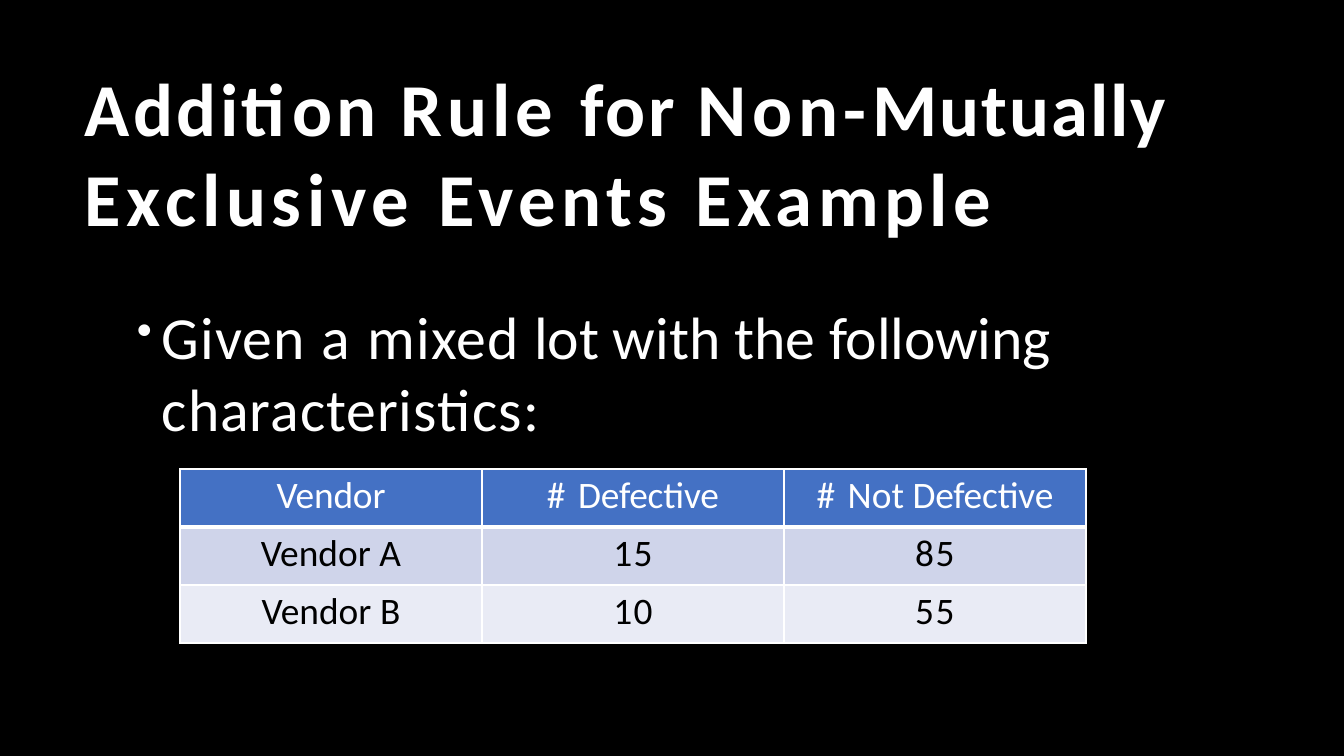
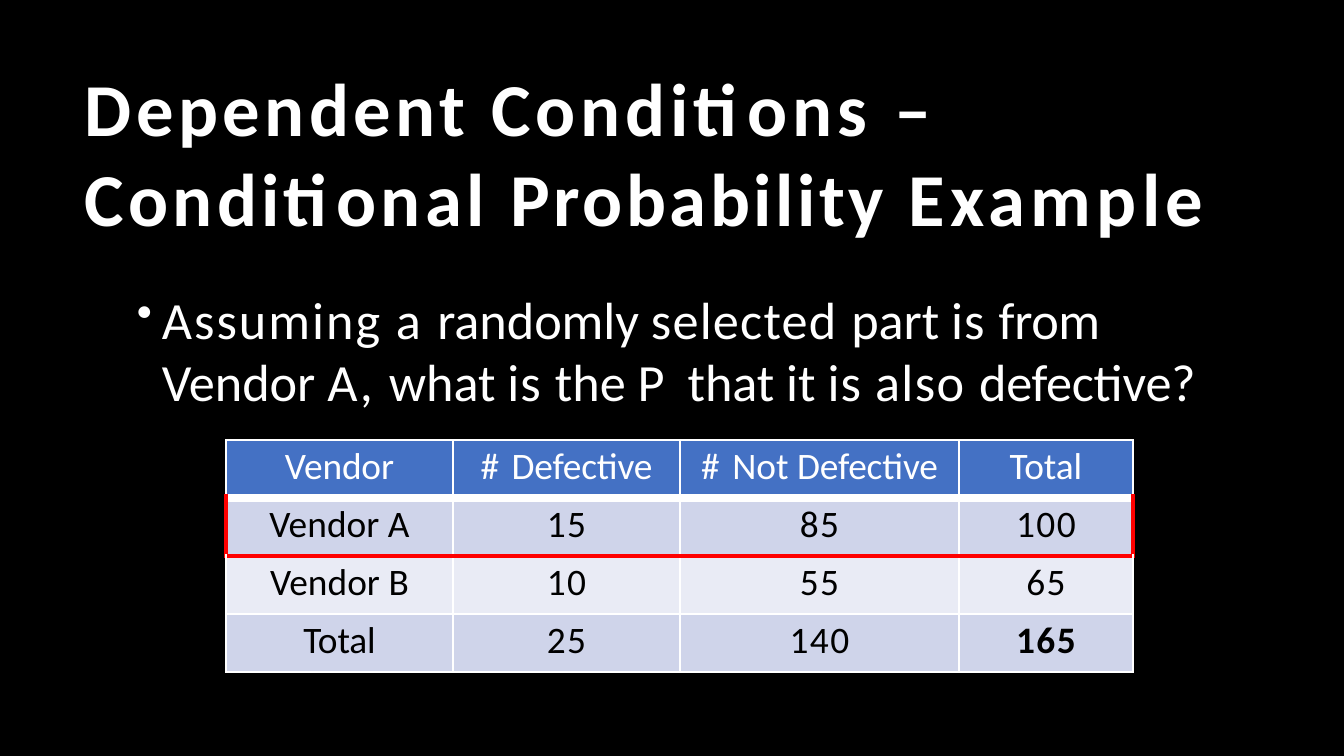
from lxml import etree
from pptx import Presentation
from pptx.dml.color import RGBColor
from pptx.enum.text import MSO_AUTO_SIZE, PP_ALIGN
from pptx.oxml.ns import qn
from pptx.util import Pt

EMU_PER_PX = 914400 / 134.4
SLIDE_WIDTH, SLIDE_HEIGHT = 1344, 756
LEFT, CENTER = PP_ALIGN.LEFT, PP_ALIGN.CENTER
FIT_SHAPE = MSO_AUTO_SIZE.SHAPE_TO_FIT_TEXT

FONT = "Calibri"
BLACK, WHITE, RED = "000000", "FFFFFF", "FF0000"
HEADER_FILL = "4471C4"
BAND_FILLS = ("CFD4EA", "E9EBF5")
ROW_HEIGHT = 58

# Text is a list of (words, letter spacing in points) runs.
HEADER = [
    [("Vendor", -0.1)],
    [("# ", 1.1), ("Defective", -0.1)],
    [("# ", 1.1), ("Not ", 0), ("Defective", -0.1)],
]
TOTAL = [("Total", -0.1)]
VENDOR_A = [("Vendor ", 0), ("A", 0.4)]
VENDOR_B = [("Vendor ", 0), ("B", 2)]


def px(length):
    return round(length * EMU_PER_PX)


def color(hex_value):
    return RGBColor.from_string(hex_value)


def write(paragraph, runs, size, fill=WHITE, bold=False, align=LEFT):
    paragraph.alignment = align
    for words, spacing in runs:
        run = paragraph.add_run()
        run.text = words
        run.font.name = FONT
        run.font.size = Pt(size)
        run.font.bold = bold
        run.font.color.rgb = color(fill)
        run.font._element.set("spc", str(round(spacing * 100)))


def add_text_frame(slide, box):
    frame = slide.shapes.add_textbox(*map(px, box)).text_frame
    frame.word_wrap = True
    frame.auto_size = FIT_SHAPE
    frame.margin_left = frame.margin_right = frame.margin_bottom = 0
    frame.margin_top = px(3)
    return frame


def add_title(slide, box, lines):
    frame = add_text_frame(slide, box)
    for index, runs in enumerate(lines):
        paragraph = frame.add_paragraph() if index else frame.paragraphs[0]
        write(paragraph, runs, size=40, bold=True)


def add_bullet(slide, box, runs, size, bullet_percent):
    paragraph = add_text_frame(slide, box).paragraphs[0]
    properties = paragraph._p.get_or_add_pPr()
    properties.set("marL", str(px(28)))
    properties.set("indent", str(px(-25)))
    etree.SubElement(properties, qn("a:buSzPct"), val=str(bullet_percent * 1000))
    etree.SubElement(properties, qn("a:buChar"), char="•")
    tabs = etree.SubElement(properties, qn("a:tabLst"))
    etree.SubElement(tabs, qn("a:tab"), pos=str(px(28)), algn="l")
    write(paragraph, runs, size)


def set_border(cell, side, hex_value, width):
    line = etree.SubElement(cell._tc.get_or_add_tcPr(), qn(f"a:ln{side}"), w=str(Pt(width)))
    fill = etree.SubElement(line, qn("a:solidFill"))
    etree.SubElement(fill, qn("a:srgbClr"), val=hex_value)


def cell_borders(row, column, last_column, header_rule, marked_row):
    """Return colour and width by side; the marked row is framed in red."""
    thin, mark, rule = (WHITE, 1), (RED, 2.25), (WHITE, header_rule)
    marked = row == marked_row
    borders = {
        "L": mark if marked and column == 0 else thin,
        "R": mark if marked and column == last_column else thin,
        "T": thin,
        "B": mark if marked else thin,
    }
    if row == 0:
        borders["B"] = rule
    elif row == 1:
        borders["T"] = rule
    elif row - 1 == marked_row:
        borders["T"] = mark
    return borders


def add_vendor_table(slide, left, top, widths, rows, header_rule, marked_row=None, bold_cell=None):
    box = (left, top, sum(widths), ROW_HEIGHT * len(rows))
    table = slide.shapes.add_table(len(rows), len(widths), *map(px, box)).table
    table.first_row = table.horz_banding = False
    for column, width in enumerate(widths):
        table.columns[column].width = px(width)
    for row, cells in enumerate(rows):
        table.rows[row].height = px(ROW_HEIGHT)
        for column, runs in enumerate(cells):
            cell = table.cell(row, column)
            cell.margin_left = cell.margin_right = cell.margin_bottom = 0
            cell.margin_top = px(4)
            borders = cell_borders(row, column, len(widths) - 1, header_rule, marked_row)
            for side, (hex_value, width) in borders.items():
                set_border(cell, side, hex_value, width)
            cell.fill.solid()
            cell.fill.fore_color.rgb = color(BAND_FILLS[(row - 1) % 2] if row else HEADER_FILL)
            write(cell.text_frame.paragraphs[0], runs, size=20, fill=BLACK if row else WHITE,
                  bold=(row, column) == bold_cell, align=CENTER)


def vendor_row(label, *counts):
    return [label] + [[(str(count), 0.8)] for count in counts]


def add_black_slide(presentation):
    slide = presentation.slides.add_slide(presentation.slide_layouts[6])
    slide.background.fill.solid()
    slide.background.fill.fore_color.rgb = color(BLACK)
    return slide


def add_addition_rule_slide(presentation):
    slide = add_black_slide(presentation)
    add_title(slide, (85, 59, 1101, 183), [
        [("Addition ", 1.8), ("Rule ", 2.7), ("for ", 1.6), ("Non-", 3), ("Mutually ", 1.1),
         ("Exclusive ", 3.1), ("Events ", 3), ("Example", 2.9)],
    ])
    add_bullet(slide, (134, 297, 934, 148), [
        ("Given ", 0.6), ("a ", 1.2), ("mixed ", 0.5), ("lot with the ", 0),
        ("following ", -0.1), ("characteristics:", 0.5),
    ], size=32, bullet_percent=75)
    add_vendor_table(slide, 180, 469, [302] * 3, [
        HEADER,
        vendor_row(VENDOR_A, 15, 85),
        vendor_row(VENDOR_B, 10, 55),
    ], header_rule=3)


def add_conditional_probability_slide(presentation):
    slide = add_black_slide(presentation)
    add_title(slide, (85, 59, 1141, 183), [
        [("Dependent ", 2.4), ("Conditions ", 2.6), ("–", -0.5)],
        [("Conditional ", 2.3), ("Probability ", 1.9), ("Example", 2.9)],
    ])
    add_bullet(slide, (134, 284, 1097, 129), [
        ("Assuming a ", 1.1), ("randomly ", 0), ("selected ", 0.7), ("part ", 0), ("is ", 0.6),
        ("from ", -0.2), ("Vendor ", 0), ("A, ", 1.1), ("what ", 0), ("is ", 0.6), ("the ", 0),
        ("P ", 3), ("that it ", 0), ("is ", 0.6), ("also ", 0.8), ("defective?", -0.1),
    ], size=28, bullet_percent=86)
    add_vendor_table(slide, 226, 440, [227, 227, 279, 174], [
        HEADER + [TOTAL],
        vendor_row(VENDOR_A, 15, 85, 100),
        vendor_row(VENDOR_B, 10, 55, 65),
        vendor_row(TOTAL, 25, 140, 165),
    ], header_rule=4.5, marked_row=1, bold_cell=(3, 3))


def main():
    presentation = Presentation()
    presentation.slide_width = px(SLIDE_WIDTH)
    presentation.slide_height = px(SLIDE_HEIGHT)
    add_addition_rule_slide(presentation)
    add_conditional_probability_slide(presentation)
    presentation.save("out.pptx")


if __name__ == "__main__":
    main()
